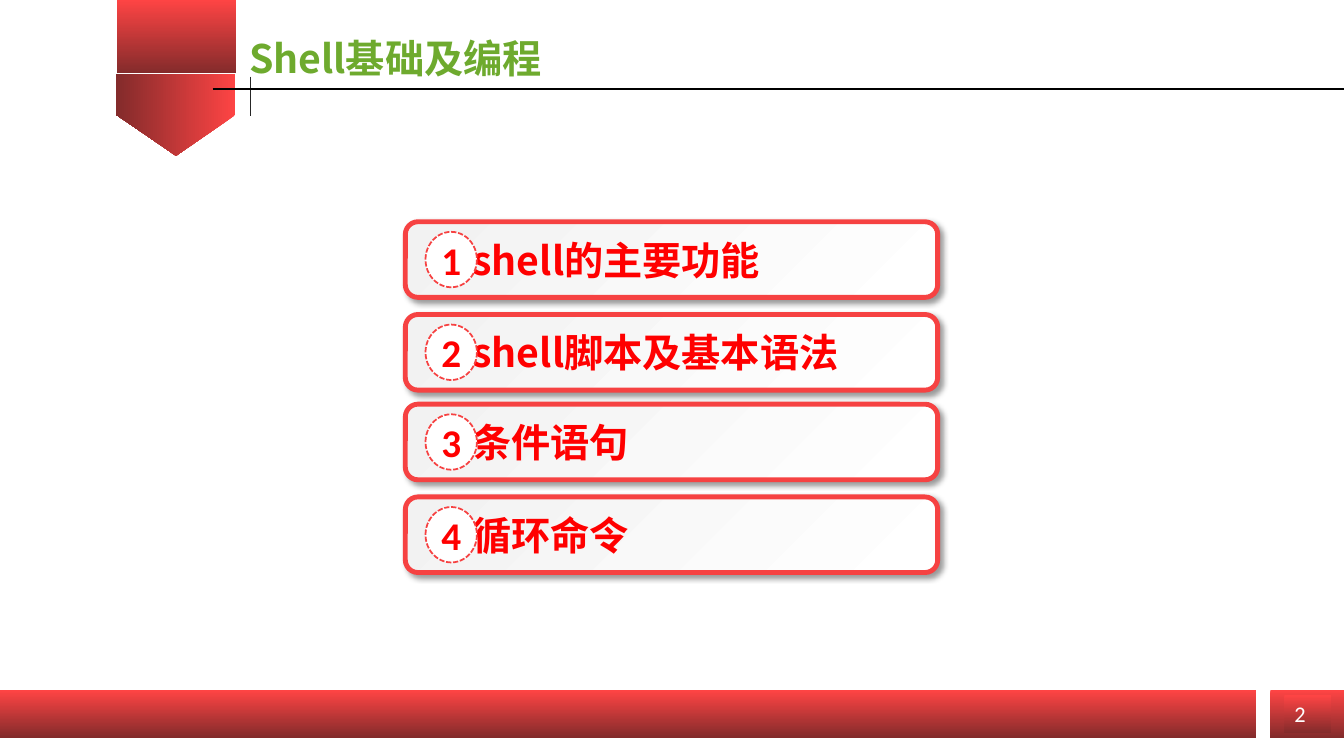
from dataclasses import dataclass

from lxml import etree
from pptx import Presentation
from pptx import util as u
from pptx.dml.color import RGBColor
from pptx.enum import dml, shapes, text
from pptx.oxml import ns, parse_xml


@dataclass(frozen=True)
class Theme:
    ribbon: tuple = ("FE4444", "832B2B")
    card: tuple = ("F2F2F2", "FFFFFF")
    border: str = "F64242"
    item: str = "FF0000"
    title: str = "6EAA2E"
    white: str = "FFFFFF"
    tick: str = "262626"
    rule: str = "000000"
    cjk: str = "Noto Sans CJK SC"
    latin: str = "Calibri"
    large: int = 28
    small: int = 16


theme = Theme()
SHADOW = (
    f'<a:effectLst {ns.nsdecls("a")}><a:outerShdw blurRad="50800" dist="38100" '
    'dir="2700000" algn="tl" rotWithShape="0"><a:srgbClr val="000000">'
    '<a:alpha val="40000"/></a:srgbClr></a:outerShdw></a:effectLst>'
)


def add_block(parent, preset, box, colors, angle=270):
    """Add a borderless shape with a two-stop gradient."""
    block = parent.add_shape(preset, *map(u.Inches, box))
    block.shadow.inherit = False
    block.line.fill.background()
    block.fill.gradient()
    block.fill.gradient_angle = angle
    for stop, color, position in zip(block.fill.gradient_stops, colors, (0, 1)):
        stop.color.rgb = RGBColor.from_string(color)
        stop.position = position
    return block


def write(frame, words, face, size, color, bold=True, align=text.PP_ALIGN.LEFT):
    """Fill a text frame with one formatted paragraph."""
    frame.text = words
    paragraph = frame.paragraphs[0]
    paragraph.alignment = align
    font = paragraph.font
    font.name, font.size, font.bold = face, u.Pt(size), bold
    font.color.rgb = RGBColor.from_string(color)
    properties = paragraph._p.pPr.find(ns.qn("a:defRPr"))
    etree.SubElement(properties, ns.qn("a:ea")).set("typeface", face)


prs = Presentation()
prs.slide_width, prs.slide_height = u.Inches(13.33), u.Inches(7.5)
slide = prs.slides.add_slide(prs.slide_layouts[5])
preset = shapes.MSO_SHAPE

# Ribbon at the top and bars at the bottom
ribbon_tip = add_block(slide.shapes, preset.PENTAGON, (1.34, 0.55, 0.81, 1.18), theme.ribbon)
ribbon_tip.rotation = 90
for box in ((1.16, 0, 1.18, 0.73), (0, 6.85, 12.46, 0.47), (12.6, 6.85, 0.74, 0.47)):
    add_block(slide.shapes, preset.RECTANGLE, box, theme.ribbon)

# Page number
page_number = add_block(slide.shapes, preset.RECTANGLE, (12.74, 6.9, 0.46, 0.37), theme.ribbon)
page_number.text_frame.word_wrap = False
page_number.text_frame.vertical_anchor = text.MSO_ANCHOR.TOP
write(page_number.text_frame, "2", theme.latin, theme.small, theme.white, bold=False)

# Lines under the title
for x1, y1, x2, y2, color, width in (
    (2.48, 0.76, 2.48, 1.15, theme.tick, 0.75),
    (2.11, 0.88, 13.33, 0.88, theme.rule, 1.25),
):
    rule = slide.shapes.add_connector(
        shapes.MSO_CONNECTOR.STRAIGHT, *map(u.Inches, (x1, y1, x2, y2))
    )
    rule.line.color.rgb = RGBColor.from_string(color)
    rule.line.width = u.Pt(width)
    etree.SubElement(rule._element.spPr, ns.qn("a:effectLst"))

# Title
title = slide.shapes.title
title.left, title.top = u.Inches(2.37), u.Inches(0.29)
title.width, title.height = u.Inches(4.51), u.Inches(0.57)
title.text_frame.auto_size = text.MSO_AUTO_SIZE.NONE
title.text_frame.vertical_anchor = text.MSO_ANCHOR.TOP
write(title.text_frame, "Shell基础及编程", theme.cjk, theme.large, theme.title)

# Agenda: one card with a numbered badge per topic
agenda = (
    (2.2, "shell的主要功能"),
    (3.12, "shell脚本及基本语法"),
    (4.01, "条件语句"),
    (4.93, "循环命令"),
)
for number, (top, topic) in enumerate(agenda, start=1):
    entry = slide.shapes.add_group_shape().shapes

    card = add_block(entry, preset.ROUNDED_RECTANGLE, (4.02, top, 5.28, 0.75), theme.card, 315)
    card.line.color.rgb = RGBColor.from_string(theme.border)
    card.line.width = u.Pt(3.5)
    card_properties = card._element.spPr
    card_properties.replace(card_properties.find(ns.qn("a:effectLst")), parse_xml(SHADOW))
    card.text_frame.margin_left = u.Inches(0.63)
    card.text_frame.vertical_anchor = text.MSO_ANCHOR.MIDDLE
    write(card.text_frame, topic, theme.cjk, theme.large, theme.item)

    badge = entry.add_shape(preset.OVAL, *map(u.Inches, (4.22, top + 0.1, 0.51, 0.55)))
    badge.shadow.inherit = False
    badge.fill.solid()
    badge.fill.fore_color.rgb = RGBColor.from_string(theme.white)
    badge.line.color.rgb = RGBColor.from_string(theme.border)
    badge.line.width = u.Pt(1.25)
    badge.line.dash_style = dml.MSO_LINE.SQUARE_DOT
    badge.text_frame.margin_left = badge.text_frame.margin_right = 0
    badge.text_frame.vertical_anchor = text.MSO_ANCHOR.MIDDLE
    write(badge.text_frame, str(number), theme.latin, theme.large, theme.item,
          align=text.PP_ALIGN.CENTER)

prs.save("out.pptx")
